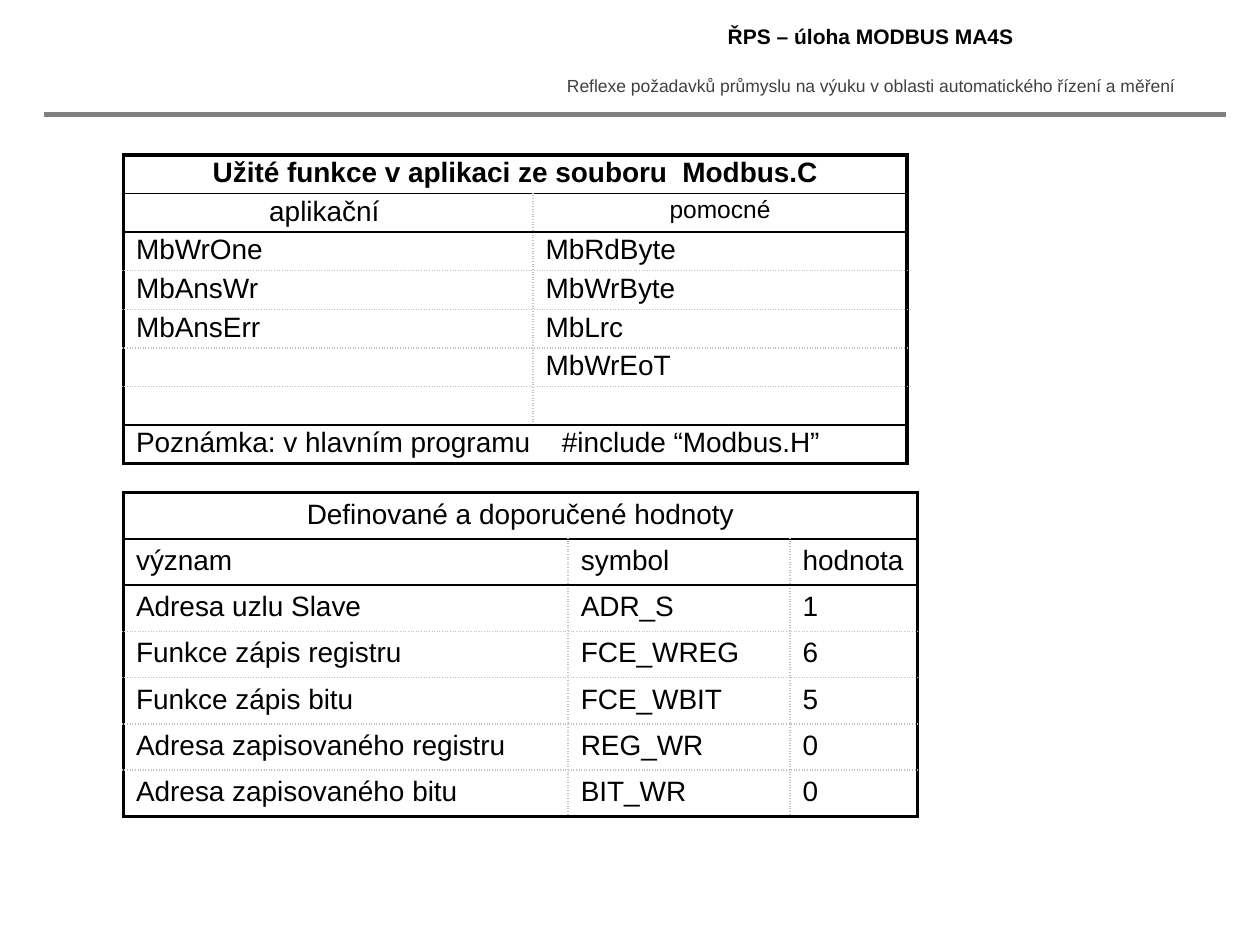
from lxml.etree import SubElement
from pptx import Presentation
from pptx.dml.color import RGBColor
from pptx.enum.shapes import MSO_CONNECTOR
from pptx.enum.text import PP_ALIGN
from pptx.oxml.ns import qn
from pptx.util import Inches, Pt

COLORS = {"text": "000000", "subtitle": "404040", "rule": "808080", "dots": "C0C0C0"}
THICK = ("text", 2.25, "solid")
THIN = ("text", 1, "solid")
DOTTED = ("dots", 1, "sysDot")

FUNCTIONS = [
    ["Užité funkce v aplikaci ze souboru  Modbus.C"],
    ["aplikační ", "pomocné"],
    ["MbWrOne", "MbRdByte"],
    ["MbAnsWr", "MbWrByte"],
    ["MbAnsErr", "MbLrc"],
    ["", "MbWrEoT"],
    ["", ""],
    ["Poznámka: v hlavním programu\t#include “Modbus.H”"],
]
VALUES = [
    ["Definované a doporučené hodnoty"],
    ["význam", "symbol", "hodnota"],
    ["Adresa uzlu Slave", "ADR_S", "1"],
    ["Funkce zápis registru", "FCE_WREG", "6"],
    ["Funkce zápis bitu", "FCE_WBIT", "5"],
    ["Adresa zapisovaného registru", "REG_WR", "0"],
    ["Adresa zapisovaného bitu", "BIT_WR", "0"],
]


def write_text(para, text, color="text", align=PP_ALIGN.LEFT, **font):
    para.alignment = align
    font = {"name": "Arial", "size": Pt(16), "bold": False, **font}
    if not text:
        SubElement(para._p, qn("a:endParaRPr"), sz=str(int(font["size"].pt * 100)))
        return
    span = para.add_run()
    span.text = text
    for name, value in font.items():
        setattr(span.font, name, value)
    span.font.color.rgb = RGBColor.from_string(COLORS[color])


def add_label(page, box, text, **style):
    frame = page.shapes.add_textbox(*map(Inches, box)).text_frame
    frame.word_wrap = True
    write_text(frame.paragraphs[0], text, align=PP_ALIGN.CENTER, **style)


def add_header(page, left, top, width):
    label_left, label_width = left + 3.95, 5.22
    add_label(page, (label_left, top, label_width, 0.31), "ŘPS – úloha MODBUS MA4S",
              size=Pt(12), bold=True)
    add_label(page, (label_left, top + 0.41, label_width, 0.27),
              "Reflexe požadavků průmyslu na výuku v oblasti automatického řízení a měření",
              size=Pt(10), color="subtitle")
    rule_top = Inches(top + 0.77)
    rule = page.shapes.add_connector(MSO_CONNECTOR.STRAIGHT, Inches(left), rule_top,
                                     Inches(left + width), rule_top)
    rule.line.color.rgb = RGBColor.from_string(COLORS["rule"])
    rule.line.width = Pt(3)
    SubElement(rule._element.spPr, qn("a:effectLst"))


def set_borders(cell, borders):
    properties = cell._tc.get_or_add_tcPr()
    for side in "LRTB":
        if side not in borders:
            continue
        color, width, dash = borders[side]
        line = SubElement(properties, qn(f"a:ln{side}"), w=str(Pt(width)))
        fill = SubElement(line, qn("a:solidFill"))
        SubElement(fill, qn("a:srgbClr"), val=COLORS[color])
        SubElement(line, qn("a:prstDash"), val=dash)


def add_grid(page, box, widths, rows, ruled, margin, styles):
    last_row, last_column = len(rows) - 1, len(widths) - 1
    grid = page.shapes.add_table(len(rows), len(widths), *map(Inches, box)).table
    grid.first_row = grid.horz_banding = False
    for column, width in zip(grid.columns, widths):
        column.width = Inches(width)
    edges = [THICK] + [THIN if r in ruled else DOTTED for r in range(last_row)] + [THICK]
    for r, texts in enumerate(rows):
        merged = len(texts) == 1
        grid.rows[r].height = Inches(box[3] / len(rows))
        if merged:
            grid.cell(r, 0).merge(grid.cell(r, last_column))
        for c in range(len(widths)):
            cell = grid.cell(r, c)
            borders = {"T": edges[r], "B": edges[r + 1]}
            if c == 0 or not merged:
                borders["L"] = THICK if c == 0 else DOTTED
            if merged or c == last_column:
                borders["R"] = THICK
            else:
                borders["R"] = DOTTED
            set_borders(cell, borders)
            cell.fill.background()
            cell.margin_top = cell.margin_bottom = Inches(margin)
            if c < len(texts):
                para = cell.text_frame.paragraphs[0]
                if "\t" in texts[c]:
                    tabs = SubElement(para._p.get_or_add_pPr(), qn("a:tabLst"))
                    SubElement(tabs, qn("a:tab"), pos=str(Inches(3.38)), algn="l")
                write_text(para, texts[c], **styles.get((r, c), {}))


def add_functions(page, left, top):
    centered = {"align": PP_ALIGN.CENTER}
    styles = {(0, 0): {**centered, "bold": True}, (1, 0): centered,
              (1, 1): {**centered, "size": Pt(14)}}
    add_grid(page, (left, top, 6.22, 2.45), [3.25, 2.97], FUNCTIONS, {0, 1, 6}, 0.02, styles)


def add_values(page, left, top):
    styles = {(0, 0): {"align": PP_ALIGN.CENTER}}
    add_grid(page, (left, top, 6.3, 2.57), [3.53, 1.76, 1.01], VALUES, {0, 1}, 0.05, styles)


def main():
    deck = Presentation()
    deck.slide_width, deck.slide_height = Inches(10), Inches(7.5)
    page = deck.slides.add_slide(deck.slide_layouts[6])
    add_header(page, 0.35, 0.14, 9.38)
    add_functions(page, 0.98, 1.23)
    add_values(page, 0.98, 3.91)
    deck.save("out.pptx")


if __name__ == "__main__":
    main()
